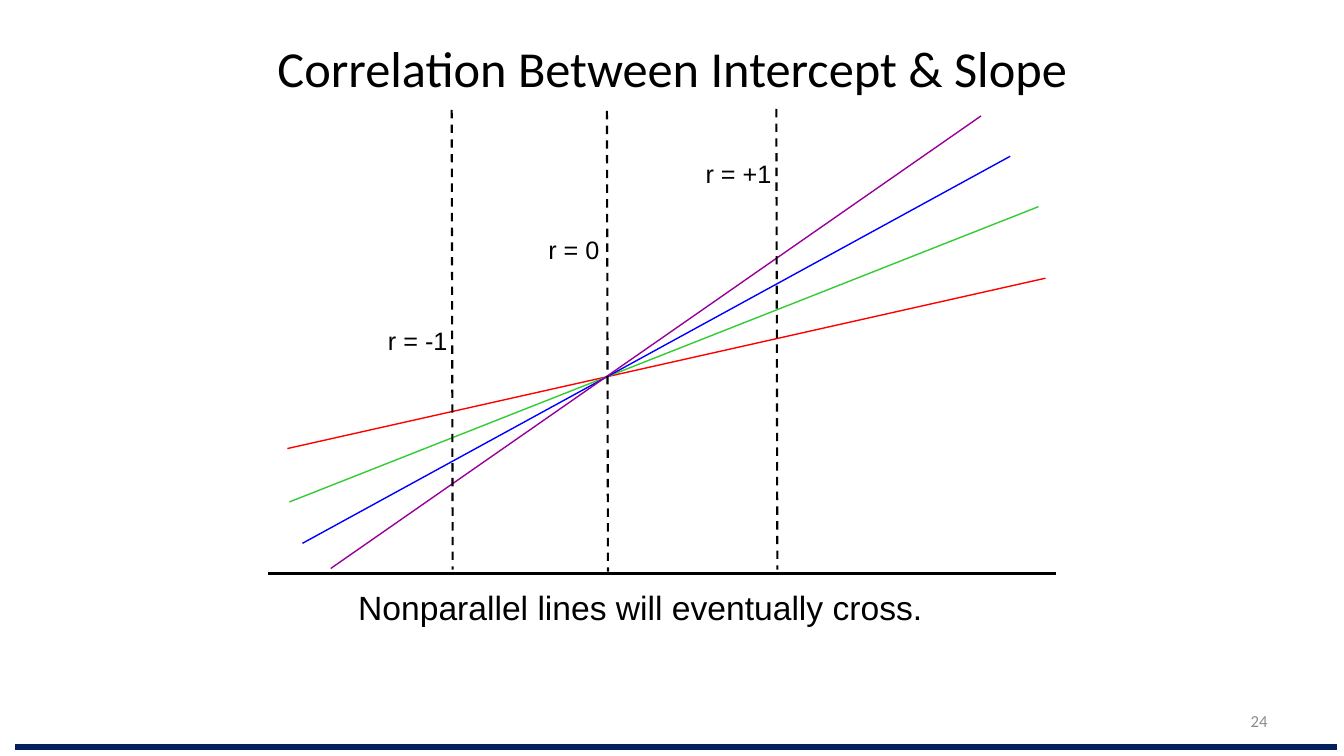
from dataclasses import dataclass

from lxml import etree
from pptx import Presentation
from pptx.dml.color import RGBColor
from pptx.enum.dml import MSO_LINE
from pptx.enum.shapes import MSO_CONNECTOR
from pptx.enum.text import MSO_ANCHOR, PP_ALIGN
from pptx.oxml.ns import qn
from pptx.util import Inches, Pt

STRAIGHT = MSO_CONNECTOR.STRAIGHT
DASH = MSO_LINE.DASH
LEFT, CENTER, RIGHT = PP_ALIGN.LEFT, PP_ALIGN.CENTER, PP_ALIGN.RIGHT
TOP, MIDDLE = MSO_ANCHOR.TOP, MSO_ANCHOR.MIDDLE
TITLE_ONLY = 5

# Grid: ten columns and ten rows to the inch
CELL = Inches(0.1)
COLUMNS, ROWS = 133.3, 75


@dataclass(frozen=True)
class Theme:
    ink: str = "000000"
    footer: str = "002060"
    number: str = "8C8C8C"
    heading_font: str = "Calibri"
    body_font: str = "Arial"
    title_size: float = 36
    caption_size: float = 24
    label_size: float = 18
    number_size: float = 12
    footer_width: float = 4.5
    axis_width: float = 1.5
    slope_width: float = 1


THEME = Theme()

# Colour, start and end of each growth line
SLOPES = [
    ("FF0000", (28.5, 44.5), (103.7, 27.6)),
    ("33CC33", (28.7, 49.8), (103, 20.5)),
    ("0000FF", (30, 53.9), (100.2, 15.5)),
    ("990099", (32.8, 56.4), (97.3, 11.5)),
]

# Label, its left and top, then column, top and bottom of the dashed line
TIME_ORIGINS = [
    ("r = -1", 37.5, 31.8, 44.8, 10.9, 56.5),
    ("r = 0", 53.4, 22.8, 60.2, 11, 56.7),
    ("r = +1", 69, 15.2, 77, 10.8, 56.5),
]


def grid(*cells):
    return [round(cell * CELL) for cell in cells]


def add_line(slide, start, end, color, width, dash=None):
    connector = slide.shapes.add_connector(STRAIGHT, *grid(*start, *end))
    connector.line.color.rgb = RGBColor.from_string(color)
    connector.line.width = Pt(width)
    if dash is not None:
        connector.line.dash_style = dash
    # An empty effect list removes the shadow
    etree.SubElement(connector._element.spPr, qn("a:effectLst"))


def format_text(shape, text, size, font, color, align, anchor):
    frame = shape.text_frame
    frame.text = text
    frame.vertical_anchor = anchor
    paragraph = frame.paragraphs[0]
    paragraph.alignment = align
    paragraph.font.size = Pt(size)
    paragraph.font.name = font
    paragraph.font.color.rgb = RGBColor.from_string(color)


def add_text(slide, box, text, size, font=THEME.body_font, color=THEME.ink,
             align=LEFT, anchor=TOP, wrap=True):
    shape = slide.shapes.add_textbox(*grid(*box))
    shape.text_frame.word_wrap = wrap
    format_text(shape, text, size, font, color, align, anchor)


def set_title(slide, box, text):
    title = slide.shapes.title
    title.left, title.top, title.width, title.height = grid(*box)
    format_text(title, text, THEME.title_size, THEME.heading_font,
                THEME.ink, CENTER, MIDDLE)


def add_time_origin(slide, label, left, top, column, line_top, line_bottom):
    add_line(slide, (column, line_top), (column + 0.1, line_bottom),
             THEME.ink, THEME.axis_width, DASH)
    add_text(slide, (left, top, 8.6, 4), label, THEME.label_size, wrap=False)


def main():
    presentation = Presentation()
    presentation.slide_width, presentation.slide_height = grid(COLUMNS, ROWS)
    layout = presentation.slide_layouts[TITLE_ONLY]
    slide = presentation.slides.add_slide(layout)

    # Footer rule and title
    add_line(slide, (1.5, 74.1), (132.6, 74.1),
             THEME.footer, THEME.footer_width)
    set_title(slide, (21.7, 3, 90, 7.3),
              "Correlation Between Intercept & Slope")

    # Time axis, crossing lines and possible origins
    add_line(slide, (26.6, 56.9), (104.7, 56.9), THEME.ink, THEME.axis_width)
    for color, start, end in SLOPES:
        add_line(slide, start, end, color, THEME.slope_width)
    for origin in TIME_ORIGINS:
        add_time_origin(slide, *origin)

    # Caption and slide number
    add_text(slide, (29.1, 57.7, 68.8, 5),
             "Nonparallel lines will eventually cross.",
             THEME.caption_size, align=CENTER)
    add_text(slide, (95.6, 69.5, 31.1, 4), "24", THEME.number_size,
             THEME.heading_font, THEME.number, RIGHT, MIDDLE)

    presentation.save("out.pptx")


if __name__ == "__main__":
    main()
